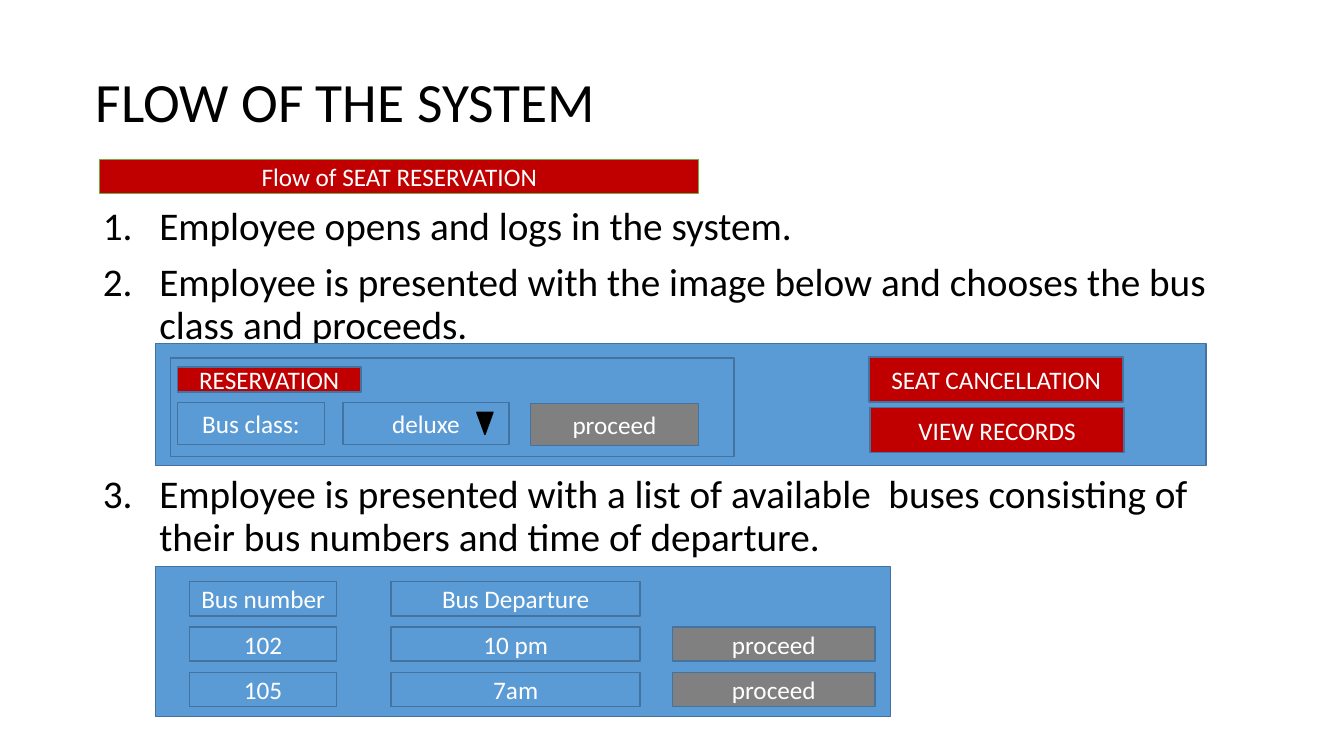
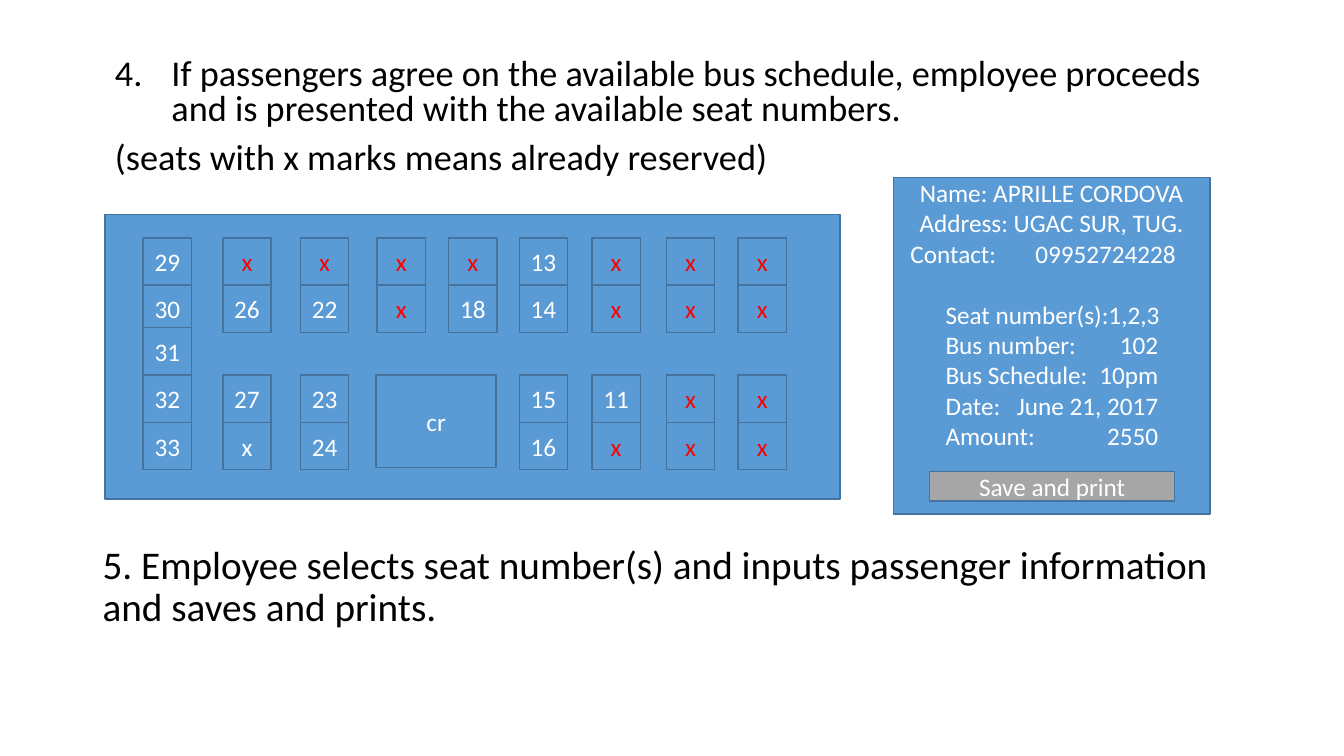
import pptx
import pptx.util
import pptx.dml.color
import pptx.enum.shapes
import pptx.enum.text
import pptx.oxml.ns
import lxml.etree

Inches = pptx.util.Inches
Pt = pptx.util.Pt
RGB = pptx.dml.color.RGBColor
SHAPE = pptx.enum.shapes.MSO_SHAPE
ALIGN = pptx.enum.text.PP_ALIGN
ANCHOR = pptx.enum.text.MSO_ANCHOR

FONT = "Calibri"
BLACK = RGB(0x00, 0x00, 0x00)
WHITE = RGB(0xFF, 0xFF, 0xFF)
BLUE = RGB(0x5B, 0x9B, 0xD5)
NAVY = RGB(0x43, 0x73, 0x9E)
RED = RGB(0xC0, 0x00, 0x00)
MARK = RGB(0xFF, 0x00, 0x00)
GREEN = RGB(0x70, 0xAD, 0x47)
GRAY = RGB(0x80, 0x80, 0x80)
SILVER = RGB(0xA6, 0xA6, 0xA6)

TITLE = "FLOW OF THE SYSTEM"
STEPS = [
    ("Employee opens and logs in the system.", 1, 10),
    ("Employee is presented with the image below and chooses the bus class and proceeds.", 1, 10),
    ("Employee is presented with a list of available  buses consisting of their bus numbers "
     "and time of departure.", 1, 91),
]
MENU = [
    ("", 1.54, 3.41, 10.42, 1.21, BLUE),
    ("", 1.69, 3.55, 5.59, 0.98, None),
    ("RESERVATION", 1.76, 3.64, 1.82, 0.25, RED),
    ("Bus class:", 1.76, 3.99, 1.46, 0.42, BLUE),
    ("deluxe", 3.4, 3.99, 1.65, 0.42, BLUE),
    ("proceed", 5.26, 4, 1.67, 0.42, GRAY),
    ("SEAT CANCELLATION", 8.62, 3.54, 2.52, 0.45, RED),
    ("VIEW RECORDS", 8.63, 4.04, 2.52, 0.45, RED),
]
TRIPS = [
    ("Bus number", "Bus Departure", ""),
    ("102", "10 pm", "proceed"),
    ("105", "7am", "proceed"),
]
TRIP_COLS = [(1.88, 1.46, BLUE), (3.88, 2.47, BLUE), (6.67, 2.01, GRAY)]

SEAT_STEPS = [
    ("If passengers agree on the available bus schedule, employee proceeds and is presented "
     "with the available seat numbers.", 4, 10),
    ("(seats with x marks means already reserved)", None, 10),
]
SEATS = [
    ("29", "x", "x", "x", "x", "13", "x", "x", "x"),
    ("30", "26", "22", "x", "18", "14", "x", "x", "x"),
    ("31",),
    ("32", "27", "23", "", "", "15", "11", "x", "x"),
    ("33", "x", "24", "", "", "16", "x", "x", "x"),
]
SEAT_X = [1.42, 2.21, 2.98, 3.74, 4.45, 5.15, 5.87, 6.61, 7.32]
SEAT_Y = [2.36, 2.83, 3.25, 3.72, 4.19]
WHITE_X = (4, 1)
LAST = "5. Employee selects seat number(s) and inputs passenger information and saves and prints."
GUEST = ["Name: APRILLE CORDOVA", "Address: UGAC SUR, TUG.", "Contact:\t09952724228"]
TICKET = ["Seat number(s):1,2,3", "Bus number:\t102", "Bus Schedule:\t10pm",
          "Date:\tJune 21, 2017", "Amount:\t2550"]


def place(shape, x, y, w, h):
    shape.left, shape.top = Inches(x), Inches(y)
    shape.width, shape.height = Inches(w), Inches(h)


def style(para, size, color):
    for run in para.runs:
        run.font.name = FONT
        run.font.size = Pt(size)
        run.font.color.rgb = color


def add_sub(node, tag, **attrs):
    sub = lxml.etree.SubElement(node, pptx.oxml.ns.qn(tag))
    for key, val in attrs.items():
        sub.set(key, str(val))
    return sub


def set_tab(para, pos, side):
    tabs = add_sub(para._p.get_or_add_pPr(), "a:tabLst")
    add_sub(tabs, "a:tab", pos=int(Inches(pos)), algn=side)


def add_lines(frame, lines):
    for i, line in enumerate(lines):
        para = frame.paragraphs[0] if i == 0 else frame.add_paragraph()
        para.text = line
        yield para


def fill_list(frame, steps, size, space):
    frame.word_wrap = True
    frame.auto_size = pptx.enum.text.MSO_AUTO_SIZE.NONE
    paras = add_lines(frame, [step[0] for step in steps])
    for para, (_, start, gap) in zip(paras, steps):
        para.line_spacing = space
        para.space_before = Pt(gap)
        style(para, size, BLACK)
        props = para._p.get_or_add_pPr()
        hang = Inches(0.56) if start else 0
        props.set("marL", str(int(hang)))
        props.set("indent", str(-int(hang)))
        if start:
            add_sub(props, "a:buFont", typeface="+mj-lt")
            add_sub(props, "a:buAutoNum", type="arabicPeriod", startAt=start)
        else:
            add_sub(props, "a:buNone")


def add_box(slide, text, x, y, w, h, fill=BLUE, color=WHITE, line=NAVY, thick=1,
            kind=SHAPE.RECTANGLE):
    box = slide.shapes.add_shape(kind, Inches(x), Inches(y), Inches(w), Inches(h))
    box.shadow.inherit = False
    if fill is None:
        box.fill.background()
    else:
        box.fill.solid()
        box.fill.fore_color.rgb = fill
    box.line.color.rgb = line
    box.line.width = Pt(thick)
    frame = box.text_frame
    frame.margin_left = frame.margin_right = frame.margin_top = frame.margin_bottom = 0
    frame.vertical_anchor = ANCHOR.MIDDLE
    if text:
        frame.text = text
        frame.paragraphs[0].alignment = ALIGN.CENTER
        style(frame.paragraphs[0], 18, color)
    return box


def add_text(slide, x, y, w, h):
    frame = slide.shapes.add_textbox(Inches(x), Inches(y), Inches(w), Inches(h)).text_frame
    frame.word_wrap = True
    return frame


def build_flow(slide):
    title, body = slide.placeholders
    place(title, 0.85, 0.57, 11.5, 0.94)
    title.text_frame.text = TITLE
    title.text_frame.vertical_anchor = ANCHOR.MIDDLE
    head = title.text_frame.paragraphs[0]
    head.alignment = ALIGN.LEFT
    head.line_spacing = 0.9
    style(head, 39.6, BLACK)
    place(body, 0.92, 2, 11.5, 3.63)
    fill_list(body.text_frame, STEPS, 28, 0.9)

    add_box(slide, "Flow of SEAT RESERVATION", 0.99, 1.58, 5.94, 0.34, RED,
            line=GREEN, thick=0.5)
    for item in MENU:
        add_box(slide, *item)
    add_box(slide, "", 4.73, 4.09, 0.16, 0.22, BLACK, line=BLACK,
            kind=SHAPE.FLOWCHART_MERGE)

    add_box(slide, "", 1.54, 5.62, 7.29, 1.49)
    for row, trip in enumerate(TRIPS):
        for text, (x, w, fill) in zip(trip, TRIP_COLS):
            if text:
                add_box(slide, text, x, 5.77 + 0.45 * row, w, 0.34, fill)


def build_seats(slide):
    title, body = slide.placeholders
    title.element.getparent().remove(title.element)
    place(body, 1.04, 0.53, 11.5, 1.31)
    fill_list(body.text_frame, SEAT_STEPS, 25.9, 0.8)

    add_box(slide, "", 1.04, 2.13, 7.29, 2.82)
    for row, (y, seats) in enumerate(zip(SEAT_Y, SEATS)):
        for col, (x, seat) in enumerate(zip(SEAT_X, seats)):
            if seat:
                color = MARK if seat == "x" and (row, col) != WHITE_X else WHITE
                add_box(slide, seat, x, y, 0.48, 0.47, color=color)
    add_box(slide, "cr", 3.73, 3.72, 1.19, 0.92)

    fill_list(add_text(slide, 0.92, 5.36, 11.5, 1.31), [(LAST, None, 10)], 28, 0.9)

    card = add_box(slide, "", 8.86, 1.76, 3.14, 3.34).text_frame
    card.vertical_anchor = ANCHOR.TOP
    card.margin_left = card.margin_right = Inches(0.17)
    for para in add_lines(card, GUEST):
        tabbed = "\t" in para.text
        para.alignment = ALIGN.LEFT if tabbed else ALIGN.CENTER
        style(para, 18, WHITE)
        if tabbed:
            set_tab(para, 1.24, "l")

    ticket = add_text(slide, 9.28, 2.92, 2.4, 1.63)
    for para in add_lines(ticket, TICKET):
        style(para, 18, WHITE)
        set_tab(para, 2.11, "r")
    add_box(slide, "Save and print", 9.22, 4.68, 2.43, 0.29, SILVER)


def main():
    deck = pptx.Presentation()
    deck.slide_width, deck.slide_height = Inches(13.33), Inches(7.5)
    for build in (build_flow, build_seats):
        build(deck.slides.add_slide(deck.slide_layouts[1]))
    deck.save("out.pptx")


if __name__ == "__main__":
    main()
